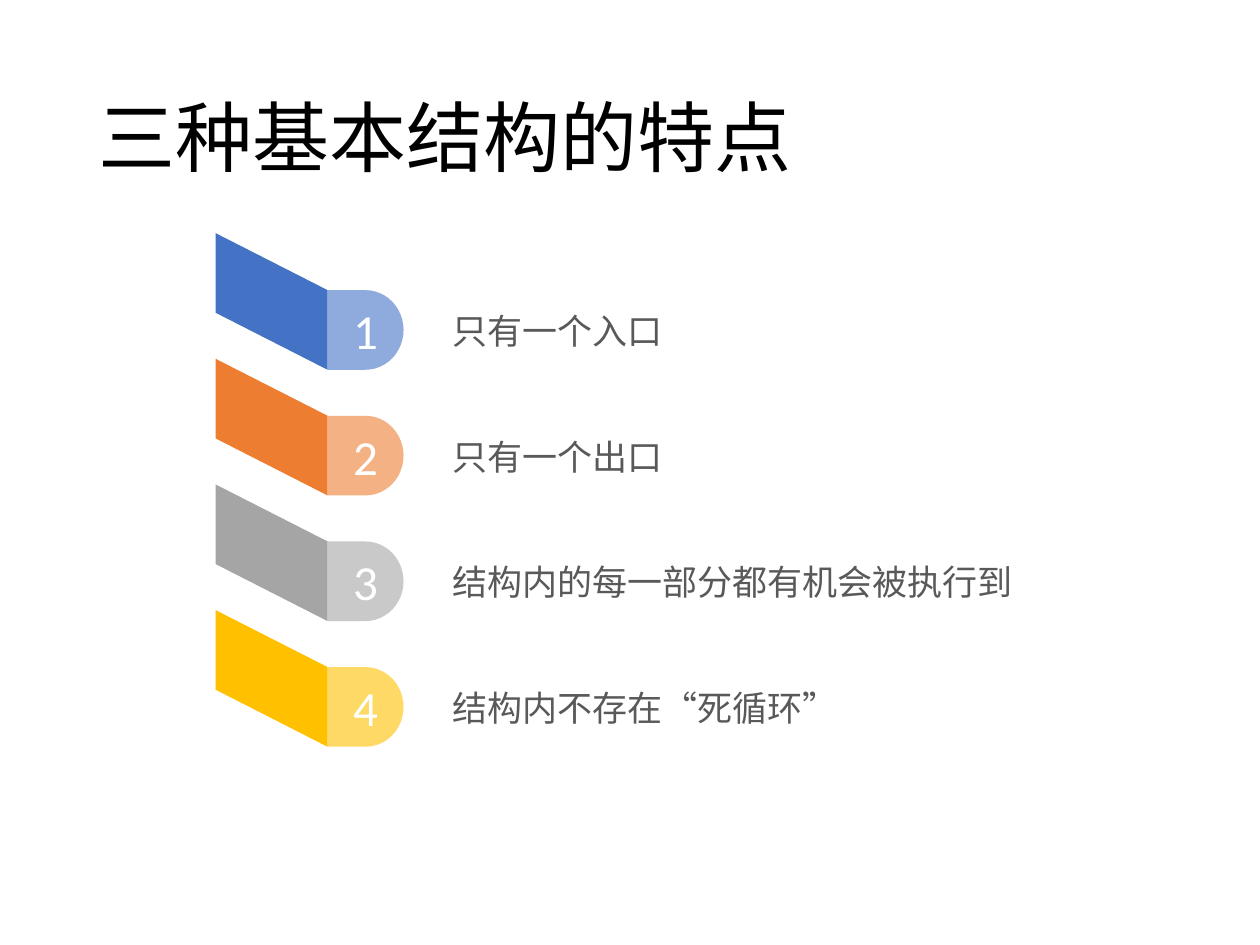
from pptx import Presentation
from pptx import util as u
from pptx.dml.color import RGBColor
from pptx.enum import shapes, text

COLORS = {
    "title": "000000", "label": "595959", "number": "FEFFFF",
    "blue": "4472C4", "light blue": "8FAADC",
    "orange": "ED7D31", "light orange": "F4B183",
    "gray": "A5A5A5", "light gray": "C9C9C9",
    "gold": "FFC000", "light gold": "FFD966",
}
ITEMS = [
    ("blue", "只有一个入口"),
    ("orange", "只有一个出口"),
    ("gray", "结构内的每一部分都有机会被执行到"),
    ("gold", "结构内不存在“死循环”"),
]
TOP, STEP = 133.2, 71.8
BAND_LEFT, BAND_WIDTH, BAND_HEIGHT, BAND_DROP = 123.2, 64, 45.5, 32.6
TAB_LEFT, TAB_WIDTH = BAND_LEFT + BAND_WIDTH, 43.4


def write(shape, words, size, color, font="Calibri", align=text.PP_ALIGN.LEFT, spacing=1.0):
    frame = shape.text_frame
    frame.word_wrap = True
    frame.vertical_anchor = text.MSO_ANCHOR.MIDDLE
    para = frame.paragraphs[0]
    para.alignment = align
    para.line_spacing = spacing
    span = para.add_run()
    span.text = words
    span.font.name = font
    span.font.size = u.Pt(size)
    span.font.color.rgb = RGBColor.from_string(COLORS[color])


class Painter:
    """Holds the style and the current slide; lengths are in points."""

    def __init__(self, page):
        self.page = page

    def paint(self, shape, color):
        shape.shadow.inherit = False
        shape.fill.solid()
        shape.fill.fore_color.rgb = RGBColor.from_string(COLORS[color])
        shape.line.fill.background()

    def label(self, left, top, width, height, words, **style):
        box = self.page.shapes.add_textbox(*map(u.Pt, (left, top, width, height)))
        write(box, words, **style)

    def band(self, top, color):
        right = BAND_LEFT + BAND_WIDTH
        corners = [
            (right, top + BAND_DROP),
            (right, top + BAND_DROP + BAND_HEIGHT),
            (BAND_LEFT, top + BAND_HEIGHT),
        ]
        outline = self.page.shapes.build_freeform(u.Pt(BAND_LEFT), u.Pt(top))
        outline.add_line_segments([(u.Pt(x), u.Pt(y)) for x, y in corners], close=True)
        self.paint(outline.convert_to_shape(), color)

    def tab(self, top, color, number):
        shape = self.page.shapes.add_shape(
            shapes.MSO_SHAPE.FLOWCHART_DELAY,
            *map(u.Pt, (TAB_LEFT, top, TAB_WIDTH, BAND_HEIGHT)))
        self.paint(shape, color)
        frame = shape.text_frame
        frame.margin_top = frame.margin_right = frame.margin_bottom = 0
        frame.margin_left = u.Pt(6.3)  # centres the number on the whole tab
        write(shape, str(number), size=28, color="number", align=text.PP_ALIGN.CENTER)


def main():
    deck = Presentation()
    deck.slide_width, deck.slide_height = u.Pt(720), u.Pt(540)
    painter = Painter(deck.slides.add_slide(deck.slide_layouts[6]))
    painter.label(49.5, 28.8, 621, 104.4, "三种基本结构的特点",
                  size=44, color="title", spacing=0.9)
    for index, (color, words) in enumerate(ITEMS):
        top = TOP + index * STEP
        painter.band(top, color)
        painter.tab(top + BAND_DROP, f"light {color}", index + 1)
        painter.label(251.3, top + 29.8, 343.4, 39.8, words,
                      size=20, color="label", spacing=1.5)
    deck.save("out.pptx")


if __name__ == "__main__":
    main()
